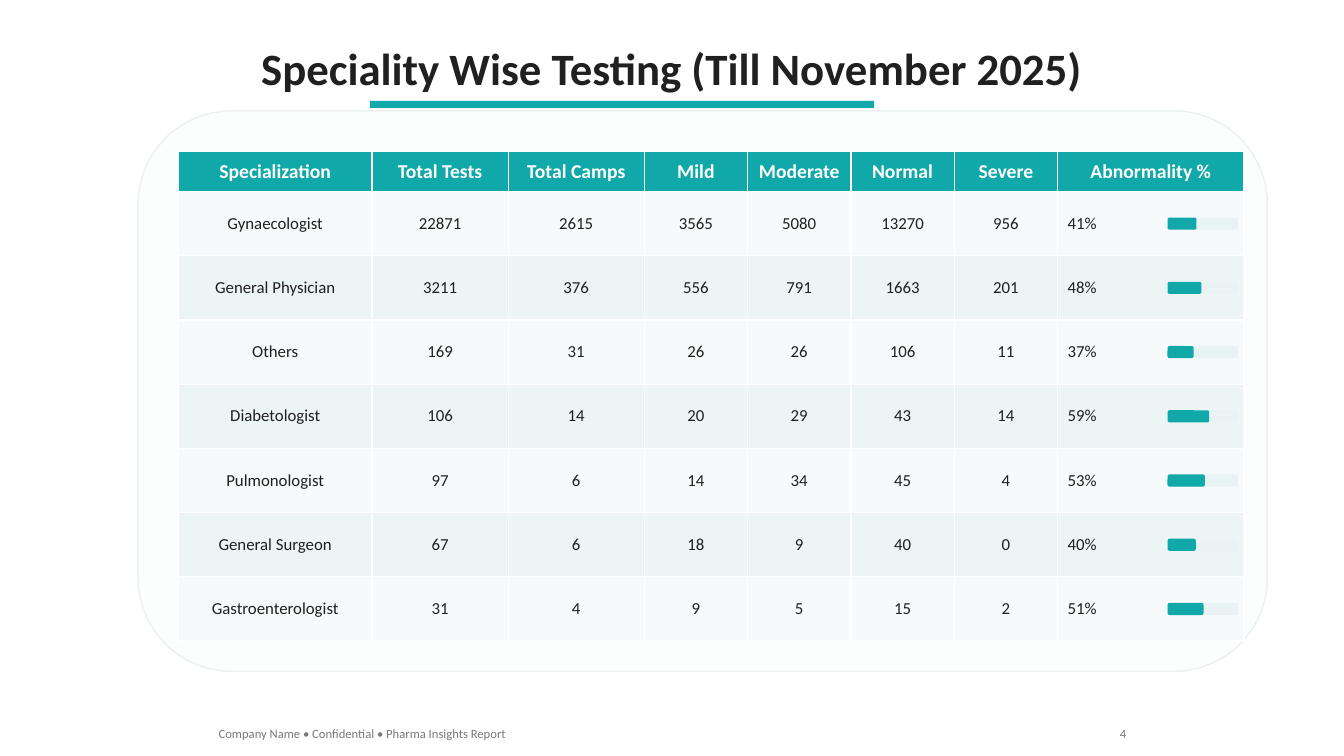
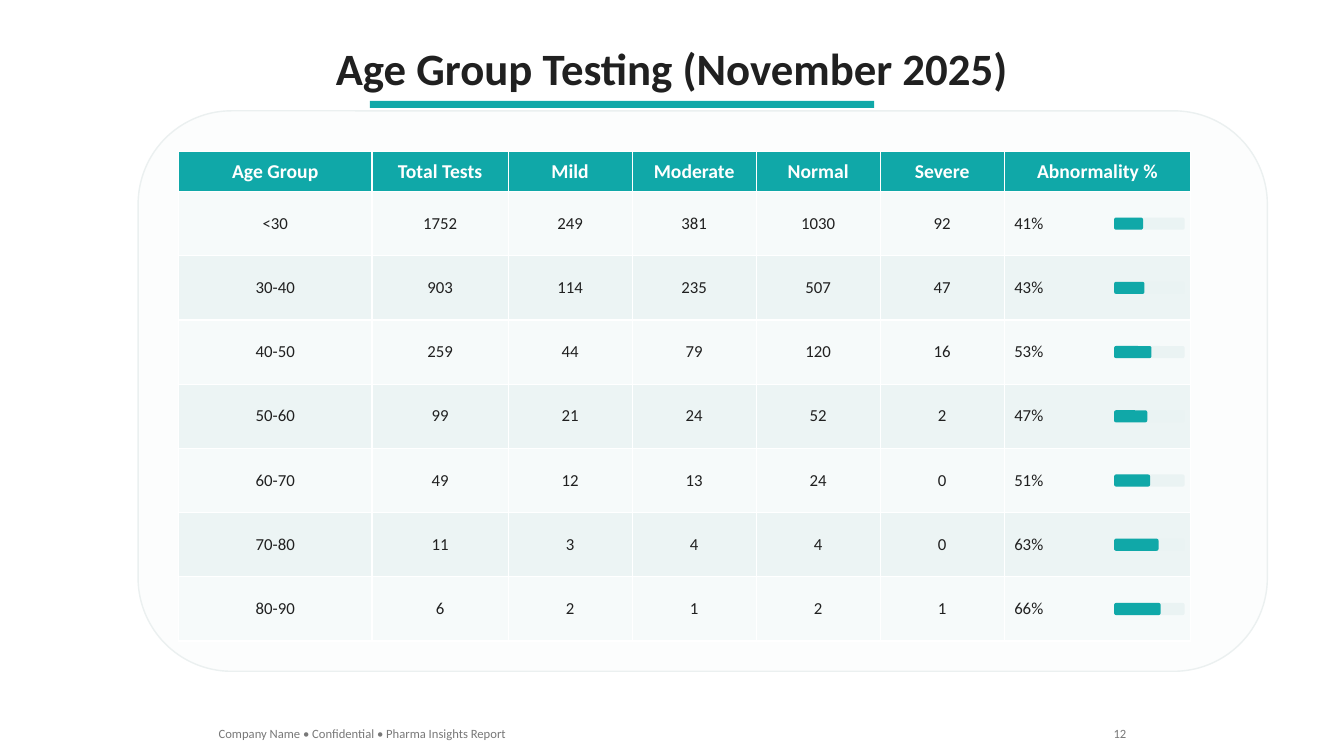
"""Build two slides of test results, each a table with bars for its rates."""
from dataclasses import dataclass
from typing import Any

from pptx import Presentation
from pptx.dml.color import RGBColor as Rgb
from pptx.enum.shapes import MSO_SHAPE as Kind
from pptx.enum.text import MSO_ANCHOR as Anchor, MSO_AUTO_SIZE as Fit, PP_ALIGN as Align
from pptx.util import Inches, Pt


@dataclass(frozen=True)
class Theme:
    font: str = "Calibri"
    teal: str = "10A8A8"
    ink: str = "202020"
    white: str = "FFFFFF"
    grey: str = "787878"
    panel: str = "FCFDFD"
    edge: str = "EBF0F0"
    track: str = "EAF3F3"
    bands: tuple[str, str] = ("F6FAFA", "ECF4F4")
    title: int = 32
    head: int = 14
    body: int = 12
    foot: int = 9


@dataclass(frozen=True)
class Box:
    left: float
    top: float
    width: float
    height: float

    def place(self) -> tuple[int, ...]:
        return tuple(Inches(n) for n in (self.left, self.top, self.width, self.height))


@dataclass(frozen=True)
class Style:
    size: int
    tint: str
    bold: bool = False
    align: Any = Align.CENTER


@dataclass(frozen=True)
class Page:
    title: str
    span: float
    number: int
    grid: Box
    fixed: tuple[float, ...]
    heads: tuple[str, ...]
    rows: tuple[tuple[str, ...], ...]


THEME = Theme()
WIDE, HIGH = 13.33, 7.5
RATE = 1.85
HEAD = 0.4
BAR = 0.12
TRACK = 0.7
INSET = 0.76
END = 11.27
FOOTER = "Company Name • Confidential • Pharma Insights Report"
COUNTS = ("Mild", "Moderate", "Normal", "Severe")
LAST = "Abnormality %"

TITLE = Style(THEME.title, THEME.ink, True)
TOP = Style(THEME.head, THEME.white, True)
CELL = Style(THEME.body, THEME.ink)
SIDE = Style(THEME.body, THEME.ink, align=Align.LEFT)
FOOT = Style(THEME.foot, THEME.grey, align=Align.LEFT)
FOLIO = Style(THEME.foot, THEME.grey, align=Align.RIGHT)

PAGES = (
    Page(
        "Speciality Wise Testing (Till November 2025)", 8.43, 4,
        Box(1.77, 1.5, 10.57, 4.86), (1.92, 1.35, 1.35),
        ("Specialization", "Total Tests", "Total Camps", *COUNTS, LAST),
        (
            ("Gynaecologist", "22871", "2615", "3565", "5080", "13270", "956", "41%"),
            ("General Physician", "3211", "376", "556", "791", "1663", "201", "48%"),
            ("Others", "169", "31", "26", "26", "106", "11", "37%"),
            ("Diabetologist", "106", "14", "20", "29", "43", "14", "59%"),
            ("Pulmonologist", "97", "6", "14", "34", "45", "4", "53%"),
            ("General Surgeon", "67", "6", "18", "9", "40", "0", "40%"),
            ("Gastroenterologist", "31", "4", "9", "5", "15", "2", "51%"),
        ),
    ),
    Page(
        "Age Group Testing (November 2025)", 6.93, 12,
        Box(1.77, 1.5, 10.04, 4.86), (1.92, 1.35),
        ("Age Group", "Total Tests", *COUNTS, LAST),
        (
            ("<30", "1752", "249", "381", "1030", "92", "41%"),
            ("30-40", "903", "114", "235", "507", "47", "43%"),
            ("40-50", "259", "44", "79", "120", "16", "53%"),
            ("50-60", "99", "21", "24", "52", "2", "47%"),
            ("60-70", "49", "12", "13", "24", "0", "51%"),
            ("70-80", "11", "3", "4", "4", "0", "63%"),
            ("80-90", "6", "2", "1", "2", "1", "66%"),
        ),
    ),
)


def apply(item: Any, form: dict[str, Any]) -> None:
    for name, value in form.items():
        setattr(item, name, value)


def write(frame: Any, text: str, style: Style) -> None:
    para = frame.paragraphs[0]
    para.alignment = style.align
    run = para.add_run()
    run.text = text
    apply(run.font, {"name": THEME.font, "size": Pt(style.size), "bold": style.bold})
    run.font.color.rgb = Rgb.from_string(style.tint)


def label(slide: Any, box: Box, text: str, style: Style) -> None:
    frame = slide.shapes.add_textbox(*box.place()).text_frame
    apply(frame, {"word_wrap": False, "auto_size": Fit.SHAPE_TO_FIT_TEXT})
    write(frame, text, style)


def paint(item: Any, tint: str) -> None:
    item.fill.solid()
    item.fill.fore_color.rgb = Rgb.from_string(tint)


def block(slide: Any, kind: Any, box: Box, tint: str, edge: str = "") -> None:
    shape = slide.shapes.add_shape(kind, *box.place())
    shape.shadow.inherit = False
    paint(shape, tint)
    if edge:
        shape.line.color.rgb = Rgb.from_string(edge)
        shape.line.width = Pt(1)
    else:
        shape.line.fill.background()


def fill(cell: Any, text: str, style: Style, tint: str) -> None:
    paint(cell, tint)
    cell.vertical_anchor = Anchor.MIDDLE
    write(cell.text_frame, text, style)


def tabulate(slide: Any, page: Page) -> None:
    grid, count = page.grid, len(page.rows)
    table = slide.shapes.add_table(count + 1, len(page.heads), *grid.place()).table
    share = (grid.width - sum(page.fixed) - RATE) / len(COUNTS)
    for col, width in zip(table.columns, (*page.fixed, *[share] * len(COUNTS), RATE)):
        col.width = Inches(width)
    pitch = (grid.height - HEAD) / count
    for row, height in zip(table.rows, (HEAD, *[pitch] * count)):
        row.height = Inches(height)
    for col, text in enumerate(page.heads):
        fill(table.cell(0, col), text, TOP, THEME.teal)
    left = grid.left + grid.width - INSET
    for row, texts in enumerate(page.rows):
        for col, text in enumerate(texts):
            style = SIDE if page.heads[col] == LAST else CELL
            fill(table.cell(row + 1, col), text, style, THEME.bands[row % 2])
        top = grid.top + HEAD + (row + 0.5) * pitch - BAR / 2
        part = TRACK * int(texts[-1].rstrip("%")) / 100
        for width, tint in ((TRACK, THEME.track), (part, THEME.teal)):
            block(slide, Kind.ROUNDED_RECTANGLE, Box(left, top, width, BAR), tint)


def draw(slide: Any, page: Page) -> None:
    label(slide, Box((WIDE - page.span) / 2, 0.35, page.span, 0.64), page.title, TITLE)
    block(slide, Kind.RECTANGLE, Box(3.67, 1, 5, 0.07), THEME.teal)
    block(slide, Kind.ROUNDED_RECTANGLE, Box(1.37, 1.1, 11.2, 5.56), THEME.panel, THEME.edge)
    tabulate(slide, page)
    label(slide, Box(2.07, 7.15, 3.05, 0.25), FOOTER, FOOT)
    folio = str(page.number)
    width = 0.21 + 0.06 * len(folio)
    label(slide, Box(END - width, 7.15, width, 0.25), folio, FOLIO)


def main() -> None:
    deck = Presentation()
    apply(deck, {"slide_width": Inches(WIDE), "slide_height": Inches(HIGH)})
    for page in PAGES:
        slide = deck.slides.add_slide(deck.slide_layouts[6])
        paint(slide.background, THEME.white)
        draw(slide, page)
    deck.save("out.pptx")


if __name__ == "__main__":
    main()
